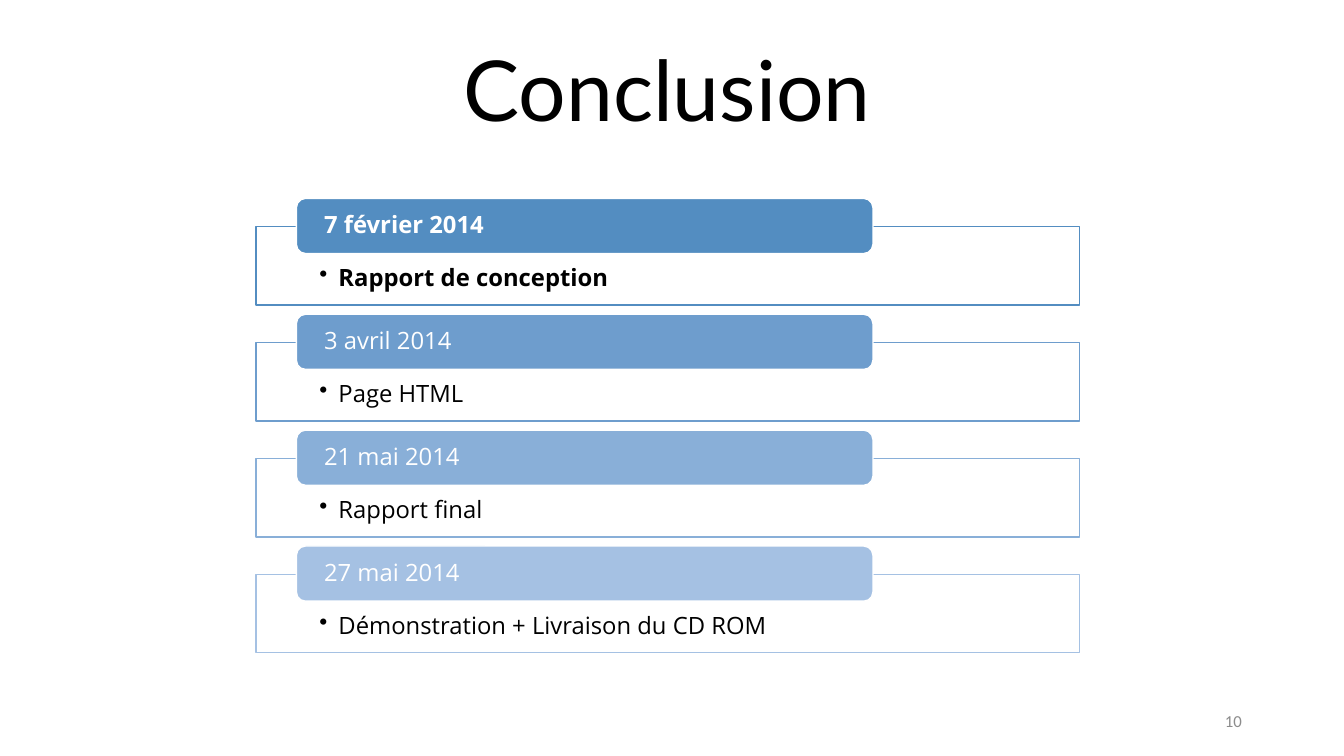
import pptx
import pptx.util
import pptx.dml.color
import pptx.enum.shapes
import pptx.enum.text
import pptx.oxml
import pptx.oxml.ns
import lxml.etree

Cm = pptx.util.Cm
Pt = pptx.util.Pt
Kind = pptx.enum.shapes.MSO_SHAPE
Align = pptx.enum.text.PP_ALIGN
Anchor = pptx.enum.text.MSO_ANCHOR

COLORS = {
    "black": "000000",
    "white": "FFFFFF",
    "gray": "8C8C8C",
    "step1": "538DC1",
    "step2": "6E9DCD",
    "step3": "89AFD8",
    "step4": "A5C1E3",
}
STEPS = [
    ("7 février 2014", "Rapport de conception", "step1", True),
    ("3 avril 2014", "Page HTML", "step2", False),
    ("21 mai 2014", "Rapport final", "step3", False),
    ("27 mai 2014", "Démonstration + Livraison du CD ROM", "step4", False),
]
TOP = 5
PITCH = 2.92
DROP = 0.71


def color(name):
    return pptx.dml.color.RGBColor.from_string(COLORS[name])


def write(shape, text, font, size, tint, align, anchor, insets, bold=False):
    frame = shape.text_frame
    frame.word_wrap = True
    frame.auto_size = pptx.enum.text.MSO_AUTO_SIZE.NONE
    frame.vertical_anchor = anchor
    left, top, right, bottom = insets
    frame.margin_left, frame.margin_top = Cm(left), Cm(top)
    frame.margin_right, frame.margin_bottom = Cm(right), Cm(bottom)
    para = frame.paragraphs[0]
    para.alignment = align
    para.line_spacing = 0.9
    run = para.add_run()
    run.text = text
    run.font.name = font
    run.font.size = Pt(size)
    run.font.bold = bold
    run.font.color.rgb = color(tint)
    return para


def bullet(para):
    props = para._p.get_or_add_pPr()
    props.set("marL", str(Cm(0.48)))
    props.set("indent", str(Cm(-0.48)))
    mark = lxml.etree.SubElement(props, pptx.oxml.ns.qn("a:buChar"))
    mark.set("char", "•")


def block(slide, kind, box, fill, line):
    shape = slide.shapes.add_shape(kind, *map(Cm, box))
    shape.shadow.inherit = False
    shape.fill.solid()
    shape.fill.fore_color.rgb = color(fill)
    shape.line.color.rgb = color(line)
    shape.line.width = Pt(1)
    return shape


def fade(shape, share):
    tone = shape.fill._xPr.find(".//" + pptx.oxml.ns.qn("a:srgbClr"))
    alpha = lxml.etree.SubElement(tone, pptx.oxml.ns.qn("a:alpha"))
    alpha.set("val", str(share * 1000))


def step(slide, top, date, task, tint, bold):
    panel = block(slide, Kind.RECTANGLE, (6.45, top + DROP, 20.75, 1.98), "white", tint)
    fade(panel, 90)
    para = write(panel, task, "Open Sans", 17, "black", Align.LEFT,
                 Anchor.TOP, (1.6, 0.99, 1.6, 0.33), bold)
    bullet(para)
    tab = block(slide, Kind.ROUNDED_RECTANGLE, (7.47, top, 14.53, 1.39), tint, "white")
    write(tab, date, "Open Sans", 17, "white", Align.LEFT,
          Anchor.MIDDLE, (0.63, 0, 0.63, 0), bold)


def head(slide, text):
    title = slide.shapes.title
    title.left, title.top = Cm(4.11), Cm(0.97)
    title.width, title.height = Cm(25.4), Cm(2.67)
    write(title, text, "Lato", 60, "black", Align.CENTER,
          Anchor.BOTTOM, (0.25, 0.13, 0.25, 0.13))


def number(slide, text):
    box = slide.shapes.add_textbox(Cm(23.93), Cm(17.65), Cm(7.62), Cm(1.02))
    para = write(box, text, "Calibri", 12, "gray", Align.RIGHT,
                 Anchor.MIDDLE, (0.25, 0.13, 0.25, 0.13))
    para.line_spacing = 1.0


def main():
    deck = pptx.Presentation()
    deck.slide_width, deck.slide_height = Cm(33.87), Cm(19.05)
    slide = deck.slides.add_slide(deck.slide_layouts[5])
    head(slide, "Conclusion")
    for index, item in enumerate(STEPS):
        step(slide, TOP + index * PITCH, *item)
    number(slide, "10")
    deck.save("out.pptx")


if __name__ == "__main__":
    main()
